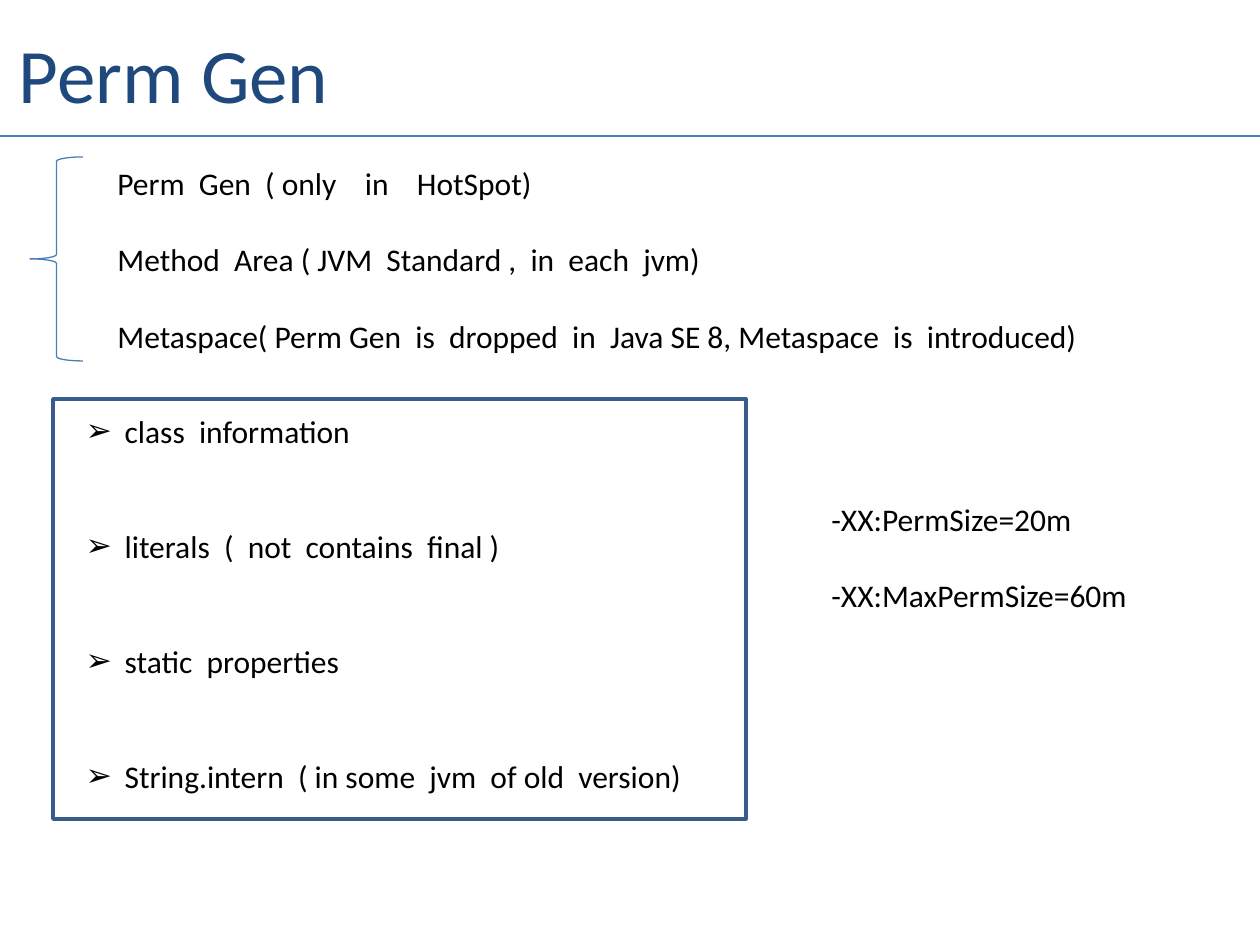
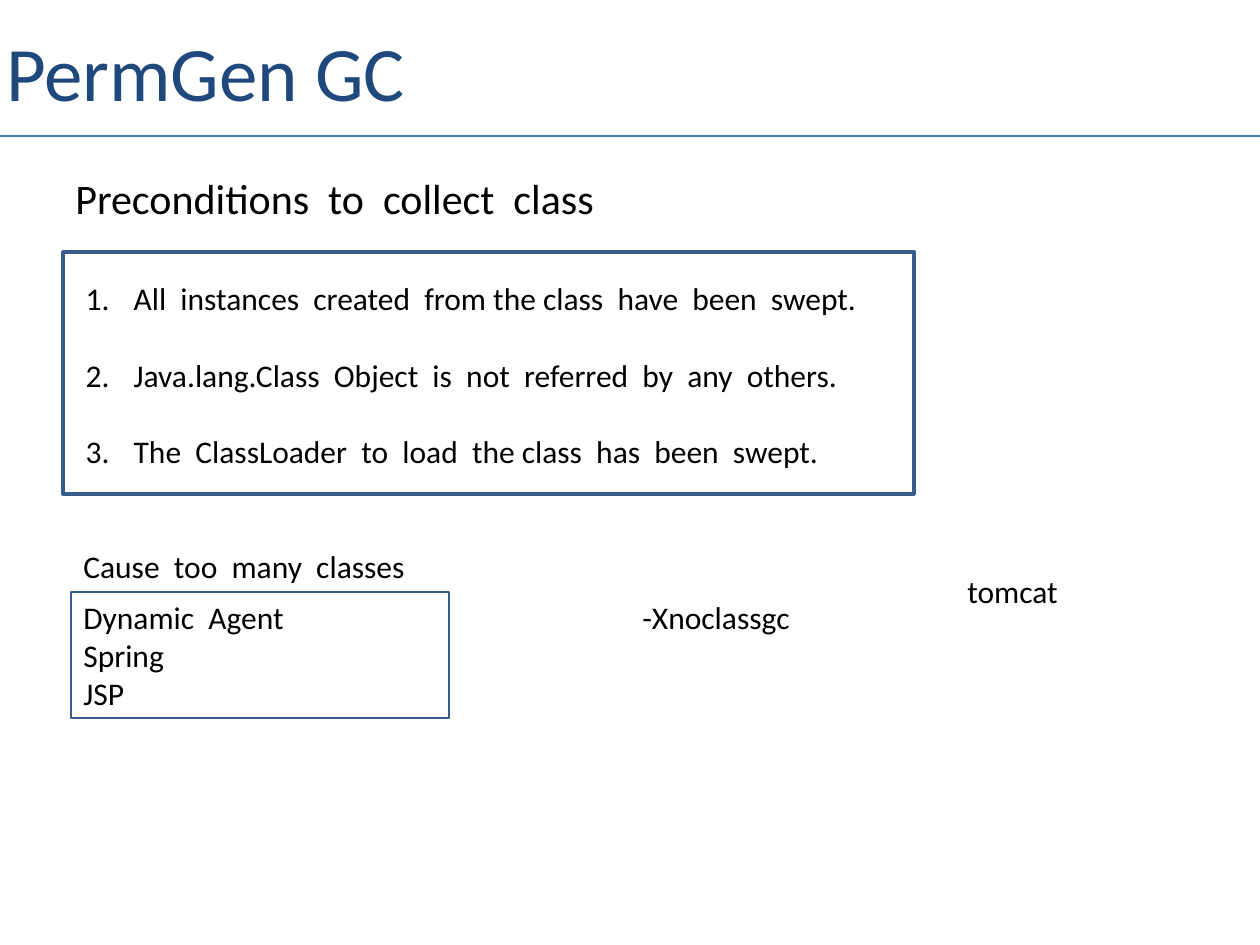
from lxml import etree
from pptx import Presentation
from pptx.dml.color import RGBColor
from pptx.enum.shapes import MSO_CONNECTOR, MSO_SHAPE
from pptx.enum.text import MSO_ANCHOR, MSO_AUTO_SIZE, PP_ALIGN
from pptx.oxml.ns import qn
from pptx.util import Emu, Pt

STRAIGHT = MSO_CONNECTOR.STRAIGHT
RECTANGLE, LEFT_BRACE = MSO_SHAPE.RECTANGLE, MSO_SHAPE.LEFT_BRACE
TOP, MIDDLE = MSO_ANCHOR.TOP, MSO_ANCHOR.MIDDLE
LEFT = PP_ALIGN.LEFT
NO_AUTOFIT = MSO_AUTO_SIZE.NONE

EMU_PER_PX = 914400 / 126
SLIDE_WIDTH, SLIDE_HEIGHT = 1260, 945
TITLE_HEIGHT, RULE_Y = 144, 136

FONT = "Calibri"
TITLE_COLOR, TEXT_COLOR = "1F497D", "000000"
RULE_COLOR, FRAME_COLOR, WHITE = "4A7EBB", "385D8A", "FFFFFF"
TITLE_SIZE, HEADING_SIZE, TEXT_SIZE = 44, 24, 18
THIN, THICK = 0.75, 2
LINE_GAP = 22  # points: the height of one line of text


def px(length):
    return Emu(round(length * EMU_PER_PX))


def color(hex_string):
    return RGBColor.from_string(hex_string)


def place(shape, left, top, width, height):
    shape.left, shape.top = px(left), px(top)
    shape.width, shape.height = px(width), px(height)


def add_bullet(paragraph, kind, value, indent):
    """Give a paragraph a hanging bullet: kind is buChar or buAutoNum."""
    properties = paragraph._p.get_or_add_pPr()
    properties.set("marL", str(px(indent)))
    properties.set("indent", str(-px(indent)))
    etree.SubElement(properties, qn("a:buFont")).set("typeface", FONT)
    attribute = "char" if kind == "buChar" else "type"
    etree.SubElement(properties, qn(f"a:{kind}")).set(attribute, value)


def write(shape, lines, size=TEXT_SIZE, text_color=TEXT_COLOR, gap=0,
          anchor=TOP, bullet=None):
    frame = shape.text_frame
    frame.word_wrap = True
    frame.auto_size = NO_AUTOFIT
    frame.vertical_anchor = anchor
    for index, line in enumerate(lines):
        paragraph = frame.add_paragraph() if index else frame.paragraphs[0]
        if bullet:
            add_bullet(paragraph, *bullet)
        paragraph.alignment = LEFT
        paragraph.space_before = Pt(gap if index else 0)
        run = paragraph.add_run()
        run.text = line
        run.font.name = FONT
        run.font.size = Pt(size)
        run.font.color.rgb = color(text_color)


def add_text(slide, box, lines, **style):
    write(slide.shapes.add_textbox(*map(px, box)), lines, **style)


def add_outline(slide, preset, box, line_color, line_width, fill=None):
    shape = slide.shapes.add_shape(preset, *map(px, box))
    shape.shadow.inherit = False
    if fill:
        shape.fill.solid()
        shape.fill.fore_color.rgb = color(fill)
    else:
        shape.fill.background()
    shape.line.color.rgb = color(line_color)
    shape.line.width = Pt(line_width)
    return shape


def add_framed_list(slide, frame_box, list_box, lines, gap, bullet):
    body = slide.placeholders[1]
    place(body, *list_box)
    write(body, lines, gap=gap, bullet=bullet)
    frame = add_outline(slide, RECTANGLE, frame_box, FRAME_COLOR, THICK, WHITE)
    body.element.addprevious(frame.element)  # the frame lies behind its list


def add_titled_slide(presentation, title, left, top):
    slide = presentation.slides.add_slide(presentation.slide_layouts[1])
    heading = slide.shapes.title
    place(heading, left, top, SLIDE_WIDTH - 2 * left, TITLE_HEIGHT)
    heading.text_frame.margin_left = 0
    write(heading, [title], TITLE_SIZE, TITLE_COLOR, anchor=MIDDLE)
    # Rule under the title
    rule = slide.shapes.add_connector(
        STRAIGHT, 0, px(RULE_Y), px(SLIDE_WIDTH), px(RULE_Y))
    rule.line.color.rgb = color(RULE_COLOR)
    rule.line.width = Pt(THIN)
    etree.SubElement(rule.element.spPr, qn("a:effectLst"))
    return slide


def build_perm_gen(presentation):
    slide = add_titled_slide(presentation, "Perm Gen", 19, 1)
    # Names of the area
    add_outline(slide, LEFT_BRACE, (30, 157, 53, 204), RULE_COLOR, THIN)
    add_text(slide, (105, 158, 1061, 202), [
        "Perm  Gen  ( only    in    HotSpot)",
        "Method  Area ( JVM  Standard ,  in  each  jvm)",
        "Metaspace( Perm Gen  is  dropped  in  Java SE 8, Metaspace  is  introduced)",
    ], gap=LINE_GAP)
    # Contents of the area
    add_framed_list(slide, (53, 399, 693, 420), (73, 406, 651, 428), [
        "class  information",
        "literals  (  not  contains  final )",
        "static  properties",
        "String.intern  ( in some  jvm  of old  version)",
    ], 2 * LINE_GAP, ("buChar", "➢", 39))
    # Size options
    add_text(slide, (819, 494, 325, 126),
             ["-XX:PermSize=20m", "-XX:MaxPermSize=60m"], gap=LINE_GAP)


def build_perm_gen_gc(presentation):
    slide = add_titled_slide(presentation, "PermGen GC", 6, -1)
    # Preconditions
    add_text(slide, (63, 166, 640, 63),
             ["Preconditions  to  collect  class"], size=HEADING_SIZE)
    add_framed_list(slide, (63, 252, 851, 242), (73, 273, 903, 242), [
        "All  instances  created  from the class  have  been  swept.",
        "Java.lang.Class  Object  is  not  referred  by  any  others.",
        "The  ClassLoader  to  load  the class  has  been  swept.",
    ], LINE_GAP, ("buAutoNum", "arabicPeriod", 48))
    # Causes
    add_text(slide, (71, 541, 417, 50), ["Cause  too  many  classes"])
    causes = add_outline(slide, RECTANGLE, (71, 592, 378, 126), FRAME_COLOR, THIN)
    write(causes, ["Dynamic  Agent", "Spring", "JSP"])
    # Option and example
    add_text(slide, (630, 592, 252, 50), ["-Xnoclassgc"])
    add_text(slide, (955, 566, 147, 50), ["tomcat"])


def main():
    presentation = Presentation()
    presentation.slide_width = px(SLIDE_WIDTH)
    presentation.slide_height = px(SLIDE_HEIGHT)
    build_perm_gen(presentation)
    build_perm_gen_gc(presentation)
    presentation.save("out.pptx")


if __name__ == "__main__":
    main()
